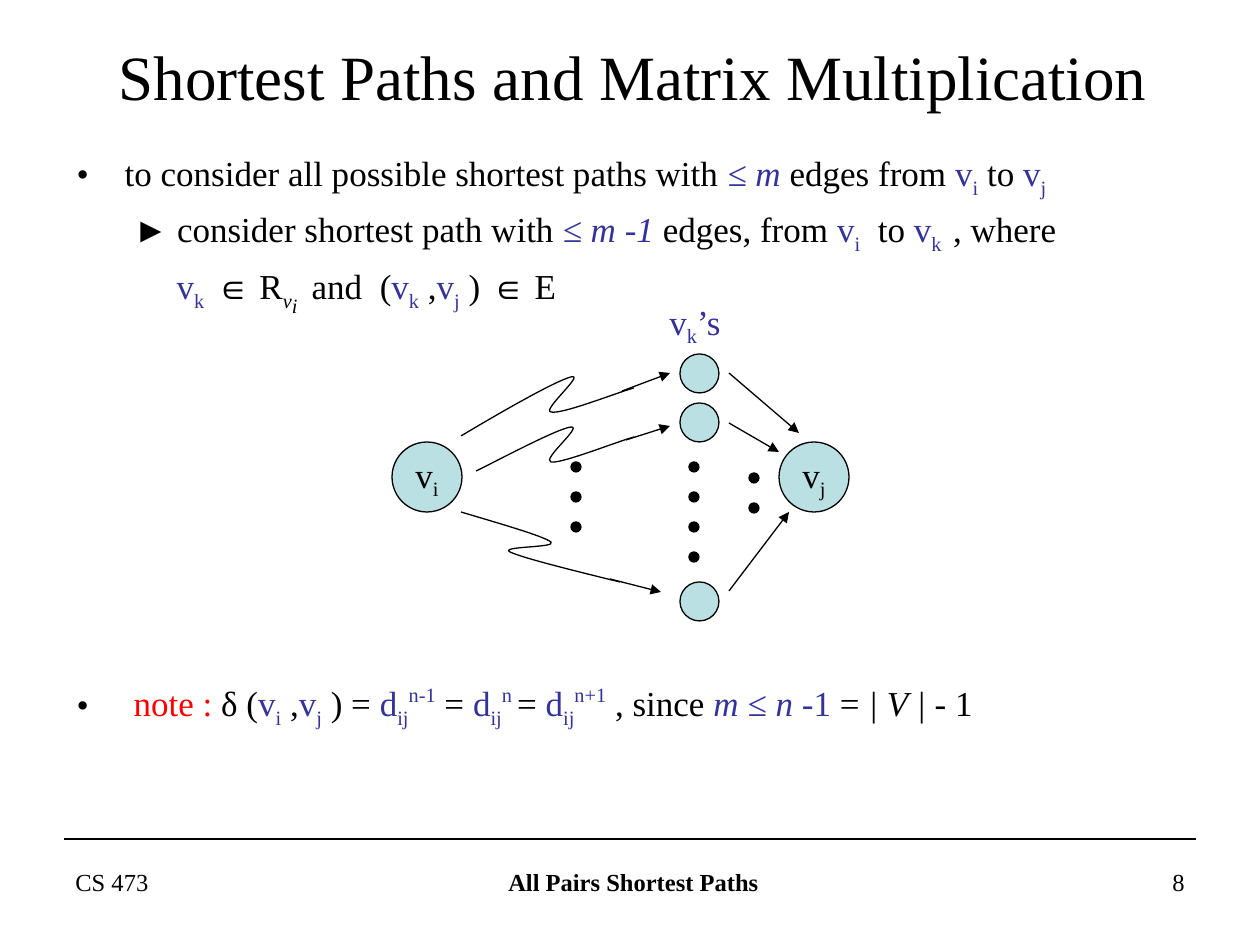
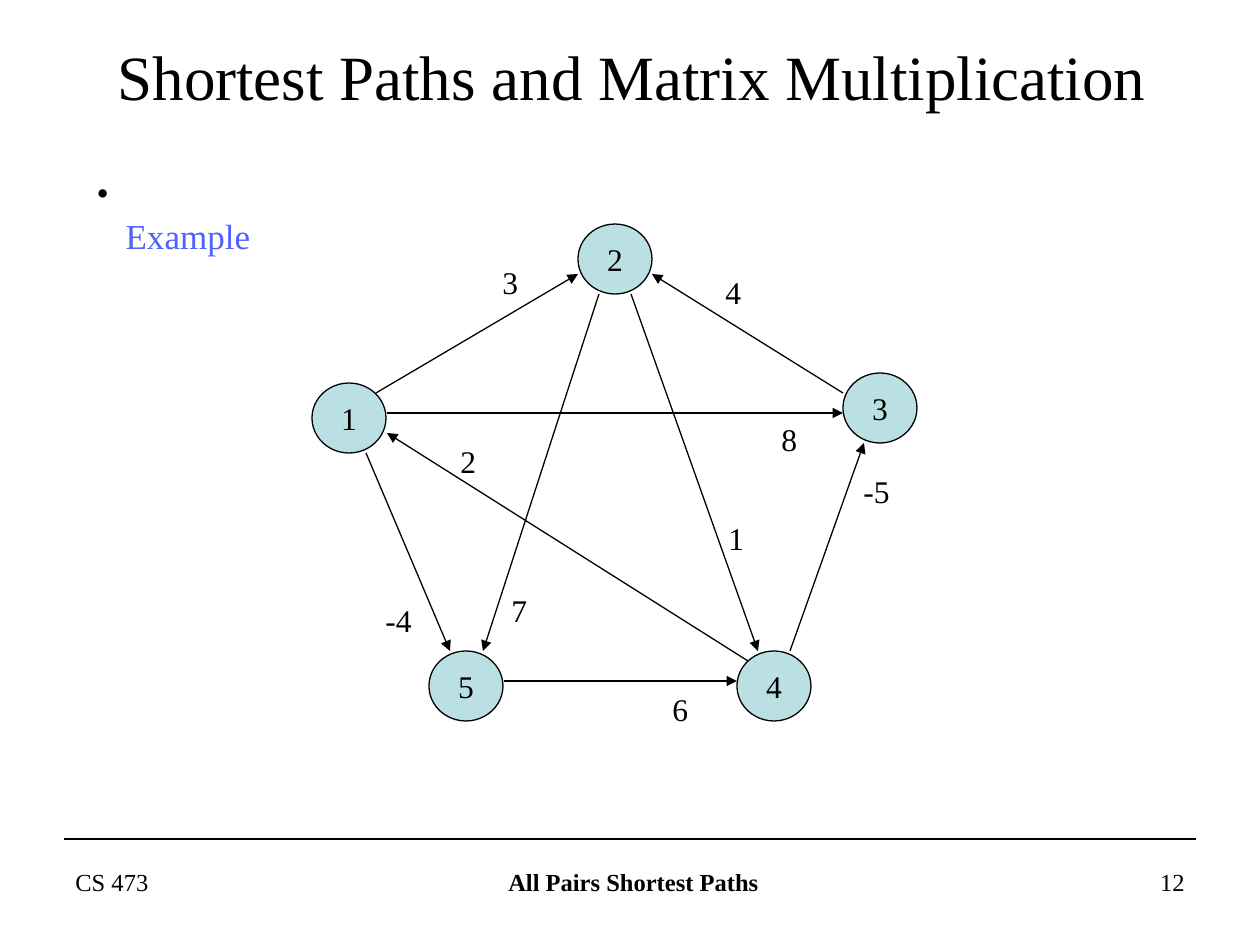
from dataclasses import dataclass

from lxml import etree
from pptx import Presentation
from pptx import util as u
from pptx.dml.color import RGBColor
from pptx.enum import shapes, text
from pptx.oxml.ns import qn

PX = 914400 / 126  # EMU in one px
SERIF, SANS = "Times New Roman", "Arial"
BLACK, NAVY, RED, VIOLET, TEAL = "000000", "333399", "FF0000", "5061FE", "BBE0E3"
TITLE = "Shortest Paths and Matrix Multiplication"
LEFT, CENTER, RIGHT = text.PP_ALIGN.LEFT, text.PP_ALIGN.CENTER, text.PP_ALIGN.RIGHT


@dataclass(frozen=True)
class Box:
    x: int
    y: int
    w: int
    h: int

    def emu(self) -> list[int]:
        return [px(v) for v in (self.x, self.y, self.w, self.h)]


@dataclass(frozen=True)
class Run:
    text: str
    color: str = BLACK
    base: int = 0
    italic: bool = False
    bold: bool = False
    font: str = SERIF
    gap: float = 0  # extra letter spacing in points


@dataclass(frozen=True)
class Item:
    runs: list[Run]
    margin: int
    hang: int = 0
    bullet: str = ""
    before: int = 0
    opening_break: bool = False


@dataclass(frozen=True)
class Arrow:
    x1: int
    y1: int
    x2: int
    y2: int


@dataclass(frozen=True)
class DotColumn:
    x: int
    top: int
    count: int


@dataclass(frozen=True)
class Label:
    text: str
    x: int
    y: int


def px(value: float) -> int:
    return round(value * PX)


def rgb(color: str) -> RGBColor:
    return RGBColor.from_string(color)


# Text
def write_runs(paragraph, runs: list[Run], size: int) -> None:
    for part in runs:
        run = paragraph.add_run()
        run.text = part.text
        run.font.size = u.Pt(size)
        run.font.name = part.font
        run.font.bold, run.font.italic = part.bold, part.italic
        run.font.color.rgb = rgb(part.color)
        if part.base:
            run.font._element.set("baseline", str(part.base * 1000))
        if part.gap:
            run.font._element.set("spc", str(round(part.gap * 100)))


def place(shape, box: Box) -> None:
    shape.left, shape.top, shape.width, shape.height = box.emu()


def add_text(slide, box: Box, runs: list[Run], size: int, align=LEFT, wrap=True) -> None:
    frame = slide.shapes.add_textbox(*box.emu()).text_frame
    frame.word_wrap = wrap
    frame.paragraphs[0].alignment = align
    write_runs(frame.paragraphs[0], runs, size)


def set_bullet(paragraph, item: Item) -> None:
    props = paragraph._p.get_or_add_pPr()
    props.set("marL", str(px(item.margin)))
    props.set("indent", str(-px(item.hang)))
    if not item.bullet:
        etree.SubElement(props, qn("a:buNone"))
        return
    tint = etree.SubElement(props, qn("a:buClr"))
    etree.SubElement(tint, qn("a:srgbClr"), val=BLACK)
    etree.SubElement(props, qn("a:buFont"), typeface=SERIF)
    etree.SubElement(props, qn("a:buChar"), char=item.bullet)


def fill_list(slide, box: Box, items: list[Item], size: int = 20) -> None:
    body = slide.placeholders[1]
    place(body, box)
    frame = body.text_frame
    frame.auto_size = text.MSO_AUTO_SIZE.NONE
    for index, item in enumerate(items):
        paragraph = frame.add_paragraph() if index else frame.paragraphs[0]
        set_bullet(paragraph, item)
        paragraph.line_spacing = 1.0
        paragraph.space_before = u.Pt(item.before)
        if item.opening_break:
            paragraph.add_line_break()
            line_break = paragraph._p.find(qn("a:br"))
            etree.SubElement(line_break, qn("a:rPr"), sz=str(size * 100))
        write_runs(paragraph, item.runs, size)


# Drawing
def outline(shape) -> None:
    shape.line.color.rgb = rgb(BLACK)
    shape.line.width = u.Pt(0.75)


def add_circle(slide, box: Box, fill: str = TEAL, runs: list[Run] = (), size: int = 18) -> None:
    circle = slide.shapes.add_shape(shapes.MSO_SHAPE.OVAL, *box.emu())
    circle.shadow.inherit = False
    circle.fill.solid()
    circle.fill.fore_color.rgb = rgb(fill)
    outline(circle)
    if runs:
        frame = circle.text_frame
        frame.word_wrap = False
        frame.vertical_anchor = text.MSO_ANCHOR.MIDDLE
        frame.paragraphs[0].alignment = CENTER
        write_runs(frame.paragraphs[0], runs, size)


def add_line(slide, ends: Arrow, head: bool = True) -> None:
    line = slide.shapes.add_connector(
        shapes.MSO_CONNECTOR.STRAIGHT, px(ends.x1), px(ends.y1), px(ends.x2), px(ends.y2))
    outline(line)
    if head:
        etree.SubElement(line.line._get_or_add_ln(), qn("a:tailEnd"), type="triangle")
    etree.SubElement(line._element.spPr, qn("a:effectLst"))


def add_curve(slide, knots: list[tuple[int, int]]) -> None:
    """Draw a chain of cubic curves: a start, then three points for each curve."""
    builder = slide.shapes.build_freeform(*knots[0], scale=PX)
    builder.add_line_segments(knots[1:], close=False)
    curve = builder.convert_to_shape()
    track = next(curve._element.iter(qn("a:path")))
    segments = track.findall(qn("a:lnTo"))
    for first in range(0, len(segments), 3):
        cubic = etree.SubElement(track, qn("a:cubicBezTo"))
        for segment in segments[first:first + 3]:
            cubic.append(segment[0])
            track.remove(segment)
    curve.shadow.inherit = False
    curve.fill.background()
    outline(curve)


# Shared slide parts
def add_page(prs, title_box: Box, number: int):
    slide = prs.slides.add_slide(prs.slide_layouts[1])
    title = slide.shapes.title
    place(title, title_box)
    title.text_frame.auto_size = text.MSO_AUTO_SIZE.NONE
    title.text_frame.vertical_anchor = text.MSO_ANCHOR.MIDDLE
    title.text_frame.paragraphs[0].alignment = CENTER
    write_runs(title.text_frame.paragraphs[0], [Run(TITLE)], 36)

    add_line(slide, Arrow(64, 839, 1196, 839), head=False)
    add_text(slide, Box(63, 861, 294, 66), [Run("CS 473")], 14)
    add_text(slide, Box(434, 861, 399, 66), [Run("All Pairs Shortest Paths", bold=True)], 14, CENTER)
    add_text(slide, Box(903, 861, 294, 66), [Run(str(number))], 14, RIGHT)
    return slide


def var(name: str, sub: str, color: str = NAVY, sup: str = "") -> list[Run]:
    runs = [Run(name, color), Run(sub, color, base=-25)]
    return runs + [Run(sup, color, base=40)] if sup else runs


# Paths through intermediate vertices
def build_paths_slide(prs) -> None:
    slide = add_page(prs, Box(71, 36, 1124, 79), 8)
    element_of = Run("∈", bold=True, font=SANS)
    all_paths = [
        Run("to consider all possible shortest paths with "), Run("≤ m", NAVY, italic=True),
        Run(" edges from "), *var("v", "i"), Run(" to "), *var("v", "j")]
    shorter_paths = [
        Run("► consider shortest path with "), Run("≤ m -1", NAVY, italic=True),
        Run(" edges, from "), *var("v", "i"), Run(" ", gap=5), Run("to "), *var("v", "k"),
        Run(" ", gap=1.5), Run(", where")]
    condition = [
        *var("v", "k"), Run(" ", gap=1.5), element_of, Run(" R"), Run("v", base=-25, italic=True),
        Run("i", base=-40, italic=True), Run(" ", gap=3), Run("and"), Run(" ", gap=5), Run("("),
        *var("v", "k"), Run(" ,"), *var("v", "j"), Run(" )"), Run(" ", gap=1), element_of, Run(" E")]
    note = [
        Run("note : ", RED), Run("δ ("), *var("v", "i"), Run(" ,"), *var("v", "j"), Run(" ) = "),
        *var("d", "ij", sup="n-1"), Run(" = "), *var("d", "ij", sup="n "), Run("= "),
        *var("d", "ij", sup="n+1"), Run(" , since "), Run("m ≤ n -", NAVY, italic=True),
        Run("1", NAVY), Run(" = "), Run("| V | - ", italic=True), Run("1")]
    fill_list(slide, Box(64, 145, 1134, 709), [
        Item(all_paths, 48, 48, "•"),
        Item(shorter_paths, 57, before=5),
        Item(condition, 100, before=5),
        Item(note, 57, 57, "•", before=208)])

    # Vertices
    add_circle(slide, Box(392, 442, 70, 70), runs=var("v", "i", BLACK), size=20)
    add_circle(slide, Box(779, 442, 70, 70), runs=var("v", "j", BLACK), size=20)
    for top in (354, 403, 582):
        add_circle(slide, Box(680, top, 39, 39))
    add_text(slide, Box(657, 294, 92, 60), [*var("v", "k"), Run("’s", NAVY)], 20)

    # Dots for the vertices and paths left out
    for column in (DotColumn(571, 462, 3), DotColumn(689, 462, 4), DotColumn(749, 473, 2)):
        for row in range(column.count):
            add_circle(slide, Box(column.x, column.top + 30 * row, 10, 10), BLACK)

    # Winding paths from vi, then edges into vj
    for knots in (
        [(461, 436), (508, 408), (556, 381), (571, 377), (586, 373),
         (541, 411), (551, 412), (561, 415), (616, 393), (634, 388)],
        [(476, 471), (491, 464), (558, 428), (571, 427), (583, 426),
         (541, 460), (551, 462), (561, 464), (616, 442), (634, 437)],
        [(461, 512), (501, 524), (543, 536), (551, 542), (558, 548),
         (499, 546), (510, 552), (523, 558), (571, 570), (620, 582)],
    ):
        add_curve(slide, knots)
    for arrow in (
        Arrow(622, 391, 670, 373), Arrow(626, 440, 670, 426), Arrow(610, 579, 661, 592),
        Arrow(729, 373, 799, 433), Arrow(729, 423, 779, 452), Arrow(729, 591, 789, 512),
    ):
        add_line(slide, arrow)


# Weighted example graph
def build_example_slide(prs) -> None:
    slide = add_page(prs, Box(52, 46, 1160, 59), 12)
    fill_list(slide, Box(84, 166, 181, 100), [
        Item([Run("Example", VIOLET)], 29, 29, "•", opening_break=True)])

    vertices = [(312, 383), (578, 224), (843, 373), (737, 651), (429, 651)]
    for number, (x, y) in enumerate(vertices, start=1):
        add_circle(slide, Box(x, y, 74, 70), runs=[Run(str(number))])
    for edge in (
        Arrow(376, 393, 578, 274), Arrow(843, 393, 652, 274), Arrow(790, 651, 864, 443),
        Arrow(504, 681, 737, 681), Arrow(366, 453, 450, 651), Arrow(599, 294, 483, 651),
        Arrow(631, 294, 758, 651), Arrow(748, 661, 387, 433), Arrow(387, 413, 843, 413),
    ):
        add_line(slide, edge)
    for weight in (
        Label("2", 448, 436), Label("1", 716, 513), Label("4", 713, 267),
        Label("3", 490, 257), Label("8", 769, 414), Label("-5", 851, 466),
        Label("-4", 373, 595), Label("6", 660, 684), Label("7", 499, 585),
    ):
        width = 28 + 12 * len(weight.text)
        add_text(slide, Box(weight.x, weight.y, width, 50), [Run(weight.text)], 18, wrap=False)


def main() -> None:
    prs = Presentation()
    prs.slide_width, prs.slide_height = px(1260), px(945)
    build_paths_slide(prs)
    build_example_slide(prs)
    prs.save("out.pptx")


if __name__ == "__main__":
    main()
